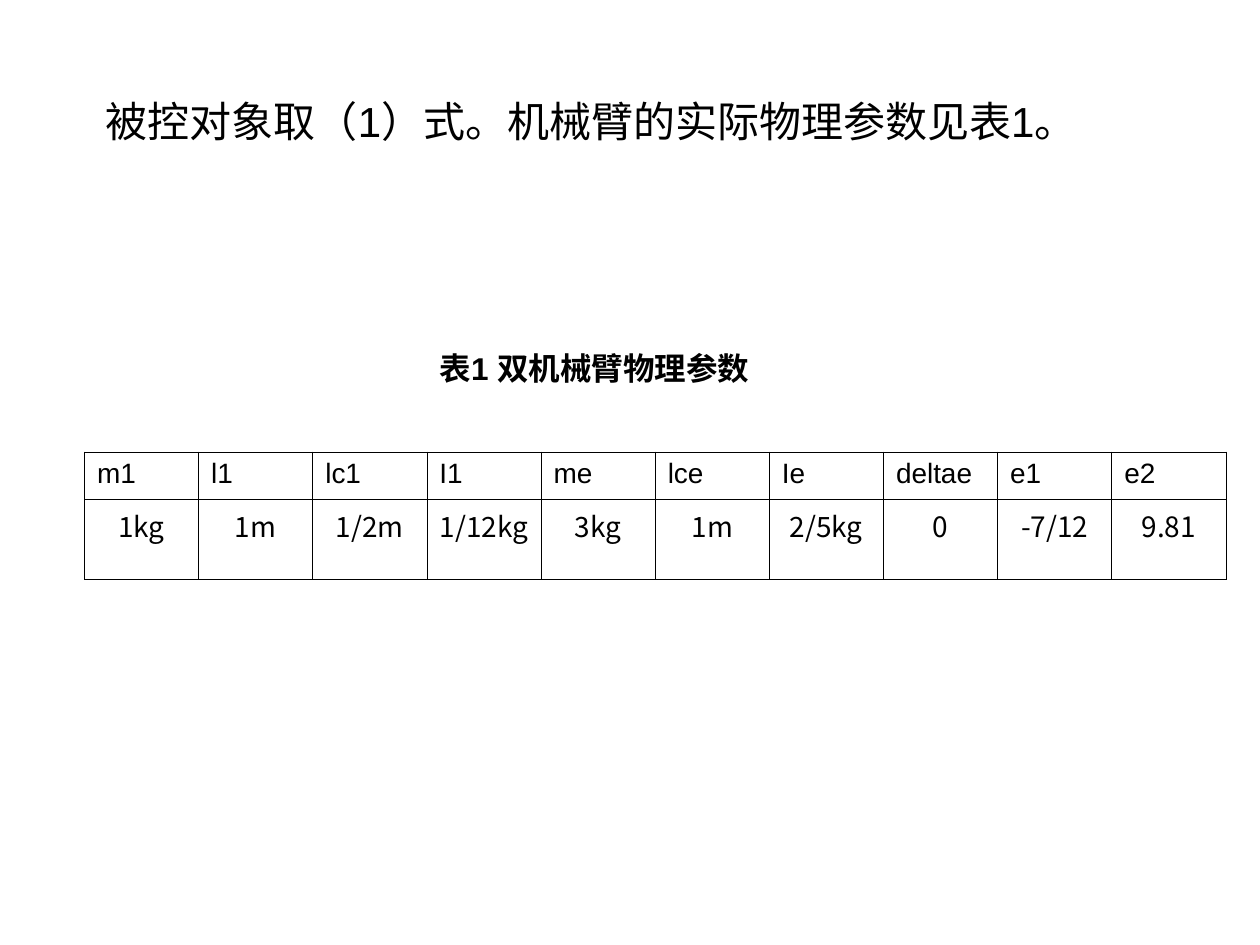
from lxml import etree
from pptx import Presentation, util as u
from pptx.dml.color import RGBColor
from pptx.enum import text
from pptx.oxml import ns

BLACK = RGBColor(0x00, 0x00, 0x00)
WHITE = RGBColor(0xFF, 0xFF, 0xFF)
LATIN_FONT = "Arial"
CHINESE_FONT = "Noto Sans CJK SC"
LEFT = text.PP_ALIGN.LEFT
CENTER = text.PP_ALIGN.CENTER

PARAMETERS = {
    "m1": "1kg",
    "l1": "1m",
    "lc1": "1/2m",
    "I1": "1/12kg",
    "me": "3kg",
    "lce": "1m",
    "Ie": "2/5kg",
    "deltae": "0",
    "e1": "-7/12",
    "e2": "9.81",
}
COLUMN_WIDTH = 0.906
ROW_HEIGHTS = (0.37, 0.64)
ROW_FORMATS = (
    {"font": {"name": LATIN_FONT}, "paragraph": {"alignment": LEFT, "space_before": u.Pt(4)}},
    {"font": {"name": CHINESE_FONT}, "paragraph": {"alignment": CENTER, "space_before": u.Pt(0)}},
)
LINE_FORMAT = {
    "word_wrap": False,
    "auto_size": text.MSO_AUTO_SIZE.SHAPE_TO_FIT_TEXT,
    "vertical_anchor": text.MSO_ANCHOR.MIDDLE,
}


def apply_format(target, values):
    for name, value in values.items():
        setattr(target, name, value)


def write_paragraph(paragraph, content, font, layout):
    run = paragraph.add_run()
    run.text = content
    run.font.color.rgb = BLACK
    apply_format(run.font, font)
    apply_format(paragraph, layout)


def format_line(shape, content, box, size, bold):
    names = ("left", "top", "width", "height")
    apply_format(shape, dict(zip(names, map(u.Inches, box))))
    apply_format(shape.text_frame, LINE_FORMAT)
    write_paragraph(
        shape.text_frame.paragraphs[0],
        content,
        {"name": LATIN_FONT, "size": u.Pt(size), "bold": bold},
        {"alignment": LEFT, "space_before": u.Pt(0), "line_spacing": 1.0},
    )


def add_border(cell, side, points):
    properties = cell._tc.get_or_add_tcPr()
    line = etree.SubElement(properties, ns.qn(f"a:ln{side}"), w=str(u.Pt(points)))
    fill = etree.SubElement(line, ns.qn("a:solidFill"))
    etree.SubElement(fill, ns.qn("a:srgbClr"), val=str(BLACK))


def add_parameter_table(slide, left, top):
    rows = (PARAMETERS.keys(), PARAMETERS.values())
    frame = slide.shapes.add_table(
        len(rows), len(PARAMETERS), u.Inches(left), u.Inches(top),
        u.Inches(COLUMN_WIDTH * len(PARAMETERS)), u.Inches(sum(ROW_HEIGHTS)),
    )
    table = frame.table
    apply_format(table, {"first_row": False, "horz_banding": False})
    for row_index, (contents, formats) in enumerate(zip(rows, ROW_FORMATS)):
        table.rows[row_index].height = u.Inches(ROW_HEIGHTS[row_index])
        for column_index, content in enumerate(contents):
            cell = table.cell(row_index, column_index)
            for side in "LRTB":
                outer_top = side == "T" and row_index == 0
                add_border(cell, side, 0.96 if outer_top else 0.45)
            cell.fill.background()
            write_paragraph(
                cell.text_frame.paragraphs[0],
                content,
                {"size": u.Pt(16), **formats["font"]},
                formats["paragraph"],
            )


def main():
    presentation = Presentation()
    apply_format(presentation, {"slide_width": u.Inches(10), "slide_height": u.Inches(7.5)})
    slide = presentation.slides.add_slide(presentation.slide_layouts[5])
    slide.background.fill.solid()
    slide.background.fill.fore_color.rgb = WHITE

    format_line(
        slide.shapes.title,
        "被控对象取（1）式。机械臂的实际物理参数见表1。",
        (0.74, 0.71, 8.22, 0.5), 24, False,
    )
    caption = slide.shapes.add_textbox(0, 0, 0, 0)
    format_line(caption, "表1 双机械臂物理参数", (3.39, 2.72, 2.83, 0.4), 18, True)
    add_parameter_table(slide, 0.67, 3.59)
    presentation.save("out.pptx")


if __name__ == "__main__":
    main()
